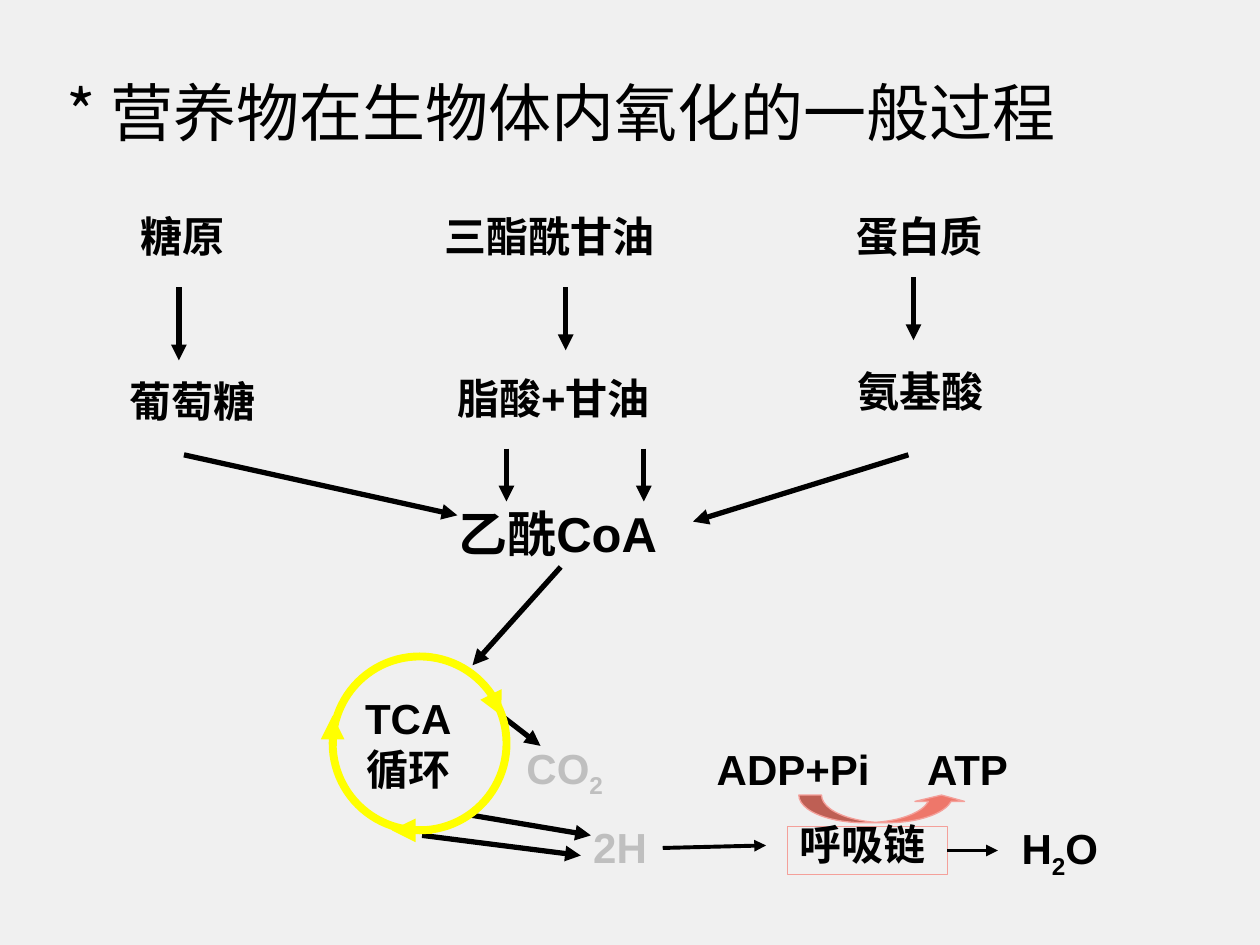
from dataclasses import dataclass

from lxml import etree
from pptx import Presentation
from pptx.dml.color import RGBColor
from pptx.enum import shapes, text
from pptx.oxml import ns
from pptx.util import Inches, Pt

COLUMNS, ROWS = 100, 75
WIDTH, HEIGHT = Inches(10), Inches(7.5)


@dataclass(frozen=True)
class Theme:
    background: str = "F0F0F0"
    ink: str = "000000"
    muted: str = "BFBFBF"
    cycle: str = "FFFF00"
    coral: str = "EE776A"
    outline: str = "F4A09A"
    latin: str = "Arial"
    chinese: str = "Noto Sans CJK SC"
    title: int = 36
    hub: int = 28
    label: int = 24
    hairline: float = 0.75
    thin: float = 2.25
    medium: float = 3
    thick: float = 4.5


THEME = Theme()


@dataclass(frozen=True)
class Box:
    left: float
    top: float
    width: float
    height: float

    def inner(self, left, top, width, height):
        return Box(self.left + left, self.top + top, width, height)

    def point(self, column, row):
        return (round((self.left + column) * WIDTH / COLUMNS),
                round((self.top + row) * HEIGHT / ROWS))

    def frame(self):
        return (*self.point(0, 0), round(self.width * WIDTH / COLUMNS),
                round(self.height * HEIGHT / ROWS))


def write(shape, words, size=THEME.label, color=THEME.ink, bold=True,
          latin=THEME.latin, wrap=False):
    frame = shape.text_frame
    frame.word_wrap = wrap
    frame.vertical_anchor = text.MSO_ANCHOR.TOP
    line = frame.paragraphs[0]
    line.alignment = text.PP_ALIGN.LEFT
    for index, piece in enumerate(words.split("_")):
        if not piece:
            continue
        run = line.add_run()
        run.text = piece
        run.font.name = latin
        run.font.size = Pt(size)
        run.font.bold = bold
        run.font.color.rgb = RGBColor.from_string(color)
        properties = run._r.get_or_add_rPr()
        etree.SubElement(properties, ns.qn("a:ea"), typeface=THEME.chinese)
        if index % 2:
            properties.set("baseline", "-25000")
    return line


def add_label(slide, box, words, **style):
    label = slide.shapes.add_textbox(*box.frame())
    return write(label, words, **style)


def add_arrow(slide, box, start, end, width=THEME.medium, color=THEME.ink):
    arrow = slide.shapes.add_connector(
        shapes.MSO_CONNECTOR.STRAIGHT, *box.point(*start), *box.point(*end))
    arrow.line.color.rgb = RGBColor.from_string(color)
    arrow.line.width = Pt(width)
    etree.SubElement(arrow.line._get_or_add_ln(), ns.qn("a:tailEnd"), type="triangle")
    etree.SubElement(arrow._element.spPr, ns.qn("a:effectLst"))
    return arrow


def add_figure(slide, preset, box, line, width, fill=None):
    figure = slide.shapes.add_shape(preset, *box.frame())
    figure.shadow.inherit = False
    if fill:
        figure.fill.solid()
        figure.fill.fore_color.rgb = RGBColor.from_string(fill)
    else:
        figure.fill.background()
    figure.line.color.rgb = RGBColor.from_string(line)
    figure.line.width = Pt(width)
    return figure


def draw_title(slide, box):
    title = slide.shapes.add_textbox(*box.frame())
    line = write(title, "* 营养物在生物体内氧化的一般过程", size=THEME.title,
                 bold=False, latin=THEME.chinese, wrap=True)
    line.line_spacing = 1.2
    title.text_frame.vertical_anchor = text.MSO_ANCHOR.MIDDLE


def draw_breakdown(slide, box):
    nutrients = [
        ("糖原", (1.2, 0.2, 10.2), "葡萄糖", (0.3, 13.3, 13.5), (5.2, 6.8, 5.8)),
        ("三酯酰甘油", (25.3, 0.2, 20.2), "脂酸+甘油", (26.3, 13.1, 20.4), (35.9, 6.8, 5)),
        ("蛋白质", (58, 0.2, 13.5), "氨基酸", (58.1, 12.5, 13.5), (63.5, 6, 5)),
    ]
    for nutrient, source, unit, product, (column, row, drop) in nutrients:
        add_label(slide, box.inner(*source, 5), nutrient)
        add_label(slide, box.inner(*product, 5), unit)
        add_arrow(slide, box, (column, row), (column, row + drop))

    add_label(slide, box.inner(26.4, 23.5, 20.8, 5.7), "乙酰CoA", size=THEME.hub)
    for start, end in [((5.6, 20.1), (27.3, 24.9)), ((31.2, 19.6), (31.2, 23.8)),
                       ((42.1, 19.6), (42.1, 23.8)), ((63.1, 20.1), (46, 25.4))]:
        add_arrow(slide, box, start, end)


def draw_cycle_products(slide, box):
    for start, end in [((11.5, 0), (4.5, 7.8)), ((6.8, 11.8), (9.9, 14.2)),
                       ((0.5, 21.3), (13.1, 22.9)), ((4.4, 19.7), (13.9, 21.3))]:
        add_arrow(slide, box, start, end)
    add_label(slide, box.inner(7.8, 13.4, 9.1, 5.6), "CO_2", color=THEME.muted)
    add_label(slide, box.inner(13.1, 19.7, 8.1, 5), "2H", color=THEME.muted)


def draw_respiratory_chain(slide, box):
    add_arrow(slide, box, (0.6, 9.3), (8.8, 9.1), THEME.thin)
    chain = add_figure(slide, shapes.MSO_SHAPE.RECTANGLE, box.inner(10.5, 7.6, 12.7, 3.8),
                       THEME.outline, THEME.hairline)
    write(chain, "呼吸链").line_spacing = 0.7
    to_water = add_arrow(slide, box, (23.2, 9.5), (27.2, 9.5), THEME.thin)
    to_water.begin_connect(chain, 3)
    add_label(slide, box.inner(28.1, 6.8, 10, 5.6), "H_2_O", wrap=True)
    add_label(slide, box.inner(3.9, 0.5, 16, 5), "ADP+Pi")
    add_label(slide, box.inner(20.6, 0.5, 10.5, 5), "ATP")
    phosphorylation = add_figure(
        slide, shapes.MSO_SHAPE.CURVED_UP_ARROW, box.inner(11.4, 5.1, 13.3, 2.2),
        THEME.outline, THEME.hairline, THEME.coral)
    for index, share in enumerate((0.82, 1.79, 0.23)):
        phosphorylation.adjustments[index] = share


def draw_cycle(slide, box):
    name = add_label(slide, box.inner(1.3, 2.5, 10.2, 9), "TCA循环", wrap=True)
    name.alignment = text.PP_ALIGN.CENTER
    add_figure(slide, shapes.MSO_SHAPE.OVAL, box.inner(0.4, 0.1, 13.8, 13.8),
               THEME.cycle, THEME.thick)
    for start, end in [((13, 3.2), (13.8, 4.8)), ((8.3, 13.9), (5.1, 13.9)),
                       ((0.4, 7.2), (0.4, 4.8))]:
        add_arrow(slide, box, start, end, THEME.thick, THEME.cycle)


def main():
    deck = Presentation()
    deck.slide_width, deck.slide_height = WIDTH, HEIGHT
    slide = deck.slides.add_slide(deck.slide_layouts[6])
    slide.background.fill.solid()
    slide.background.fill.fore_color.rgb = RGBColor.from_string(THEME.background)
    draw_title(slide, Box(4.3, 3.6, 87.4, 9.2))
    draw_breakdown(slide, Box(9, 16, 75, 29))
    draw_cycle_products(slide, Box(33, 45, 22, 25))
    draw_respiratory_chain(slide, Box(52, 58, 39, 13))
    draw_cycle(slide, Box(26, 52, 15, 15))
    deck.save("out.pptx")


if __name__ == "__main__":
    main()
